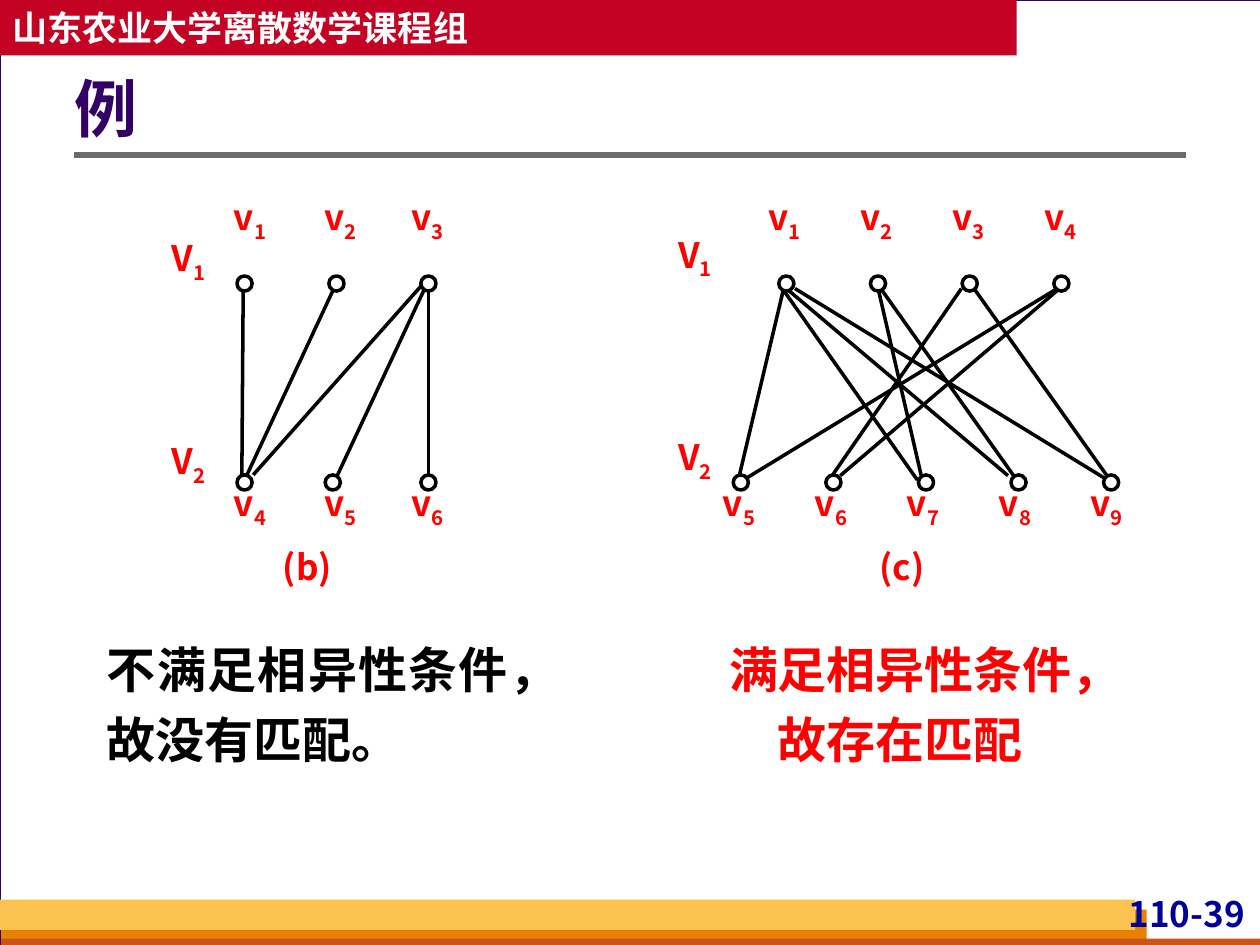
"""Build a slide comparing two bipartite graphs by the distinctness condition for matchings."""
from dataclasses import dataclass

from lxml import etree
from pptx import Presentation
from pptx.dml.color import RGBColor
from pptx.enum.shapes import MSO_CONNECTOR, MSO_SHAPE
from pptx.enum.text import MSO_ANCHOR, PP_ALIGN
from pptx.oxml.ns import qn
from pptx.util import Pt

RECT, OVAL, LINE = MSO_SHAPE.RECTANGLE, MSO_SHAPE.OVAL, MSO_CONNECTOR.STRAIGHT
TOP, MIDDLE = MSO_ANCHOR.TOP, MSO_ANCHOR.MIDDLE
LEFT, CENTER, RIGHT, JUSTIFY = PP_ALIGN.LEFT, PP_ALIGN.CENTER, PP_ALIGN.RIGHT, PP_ALIGN.JUSTIFY
FONT = "Noto Sans CJK SC"
BLACK, WHITE, RED, PURPLE = "000000", "FFFFFF", "FF0000", "330066"
NODE = 8.64
NODE_TOPS = (157.7, 271.4)
LABEL_TOPS = (111.6, 275.4)
LABEL_SIZE = (33.8, 27.4)


@dataclass
class Graph:
    caption: str
    caption_left: float
    set_left: float
    set_tops: tuple
    node_lefts: tuple
    label_lefts: tuple
    edges: tuple


def row(start: float, step: float, count: int) -> list:
    return [start + step * i for i in range(count)]


def edges(y1: float, y2: float, *ends: tuple) -> tuple:
    return tuple((x1, y1, x2, y2) for x1, x2 in ends)


GRAPHS = (
    Graph("(b)", 150.5, 90.7, (135.4, 251.3),
          (row(135.4, 52.55, 3), (135.4, 185.8, 240.5)),
          ((126, 177.8, 227.5), (126, 177.8, 227.5)),
          edges(163.4, 272.9, (244.8, 244.8), (139, 138.2), (191.5, 140.4), (243.4, 192.2))
          + edges(162, 271.4, (241.9, 144.7))),
    Graph("(c)", 490.3, 380.2, (133.2, 249.1),
          (row(445, 52.4, 4), row(419, 52.9, 5)),
          (row(431.3, 52.56, 4), row(405.4, 52.56, 5)),
          edges(164.9, 274.3, (501.8, 527), (556.6, 634.3), (447.1, 524.2), (447.8, 421.9),
                (454.3, 632.9), (549.4, 473.8), (503.3, 581), (604.1, 424.8))
          + edges(162.4, 271.8, (446.4, 576), (608.4, 480.2))),
)


def rgb(color: str) -> RGBColor:
    return RGBColor.from_string(color)


def add_shape(shapes, kind, box: tuple, fill: str, line: str = "", width: float = 0):
    sp = shapes.add_shape(kind, *map(Pt, box))
    sp.shadow.inherit = False
    sp.fill.solid()
    sp.fill.fore_color.rgb = rgb(fill)
    if line:
        sp.line.color.rgb = rgb(line)
        sp.line.width = Pt(width)
    else:
        sp.line.fill.background()
    return sp


def add_line(shapes, ends: tuple, color: str, width: float) -> None:
    cn = shapes.add_connector(LINE, *map(Pt, ends))
    cn.line.color.rgb = rgb(color)
    cn.line.width = Pt(width)
    etree.SubElement(cn._element.spPr, qn("a:effectLst"))


def write(sp, text: str, size: float, color: str, sub: str = "", align=LEFT, anchor=TOP,
          insets: tuple = (0, 0, 0, 0), spacing: float = 1.0) -> None:
    tf = sp.text_frame
    tf.word_wrap = True
    tf.vertical_anchor = anchor
    tf.margin_left, tf.margin_top, tf.margin_right, tf.margin_bottom = map(Pt, insets)
    p = tf.paragraphs[0]
    p.alignment = align
    p.line_spacing = spacing
    for part, base in ((text, ""), (sub, "-25000")):
        if part:
            r = p.add_run()
            r.text = part
            r.font.name, r.font.size, r.font.bold = FONT, Pt(size), True
            r.font.color.rgb = rgb(color)
            rpr = r.font._element
            etree.SubElement(rpr, qn("a:ea")).set("typeface", FONT)
            if base:
                rpr.set("baseline", base)


def add_text(shapes, box: tuple, *args, **kwargs) -> None:
    write(shapes.add_textbox(*map(Pt, box)), *args, **kwargs)


def add_label(shapes, left: float, top: float, letter: str, index: int) -> None:
    add_text(shapes, (left, top, *LABEL_SIZE), letter, 20, RED, sub=str(index), align=CENTER)


def add_graph(s, graph: Graph) -> None:
    shapes = s.shapes.add_group_shape().shapes
    for ends in graph.edges:
        add_line(shapes, ends, BLACK, 2)
    index = 0
    for side in range(2):
        add_label(shapes, graph.set_left, graph.set_tops[side], "V", side + 1)
        for node_left, label_left in zip(graph.node_lefts[side], graph.label_lefts[side]):
            index += 1
            add_shape(shapes, OVAL, (node_left, NODE_TOPS[side], NODE, NODE), WHITE, BLACK, 2)
            add_label(shapes, label_left, LABEL_TOPS[side], "v", index)
    add_text(shapes, (graph.caption_left, 311.8, 50.4, 23.8), graph.caption, 20, RED, align=CENTER)


def add_frame(s) -> None:
    s.background.fill.solid()
    s.background.fill.fore_color.rgb = rgb("D8DADA")
    add_shape(s.shapes, RECT, (0, 0, 720.7, 540), WHITE, PURPLE, 0.75)
    for box, fill in (((0.7, 519.8, 654.5, 20.2), "E88000"),
                      ((0.7, 536.4, 720, 5.8), "C95616"),
                      ((0, 514.1, 648.7, 17.3), "FCC24F")):
        add_shape(s.shapes, RECT, box, fill)
    add_text(s.shapes, (626.4, 509.8, 87.8, 27.4), "110-39", 20, "000099",
             align=RIGHT, insets=(2.9, 0, 2.9, 0))
    add_line(s.shapes, (42.5, 88.6, 677.5, 88.6), "6B6B6B", 3)
    banner = add_shape(s.shapes, RECT, (0, 0, 581, 31.7), "C30224")
    write(banner, "山东农业大学离散数学课程组", 20, WHITE, anchor=MIDDLE, insets=(7.2, 3.6, 7.2, 3.6))


def main() -> None:
    prs = Presentation()
    prs.slide_width, prs.slide_height = Pt(720), Pt(540)
    s = prs.slides.add_slide(prs.slide_layouts[6])
    add_frame(s)
    add_text(s.shapes, (42.5, 27.4, 635, 72.7), "例", 36, PURPLE, anchor=MIDDLE,
             insets=(0, 3.6, 7.2, 3.6), spacing=0.9)
    for graph in GRAPHS:
        add_graph(s, graph)
    for left, width, text, color, align in (
            (54, 244.1, "不满足相异性条件，故没有匹配。", BLACK, JUSTIFY),
            (406.8, 215.3, "满足相异性条件，故存在匹配", RED, CENTER)):
        add_text(s.shapes, (left, 355, width, 87.8), text, 28, color, align=align,
                 insets=(7.2, 3.6, 7.2, 3.6), spacing=1.2)
    prs.save("out.pptx")


if __name__ == "__main__":
    main()
